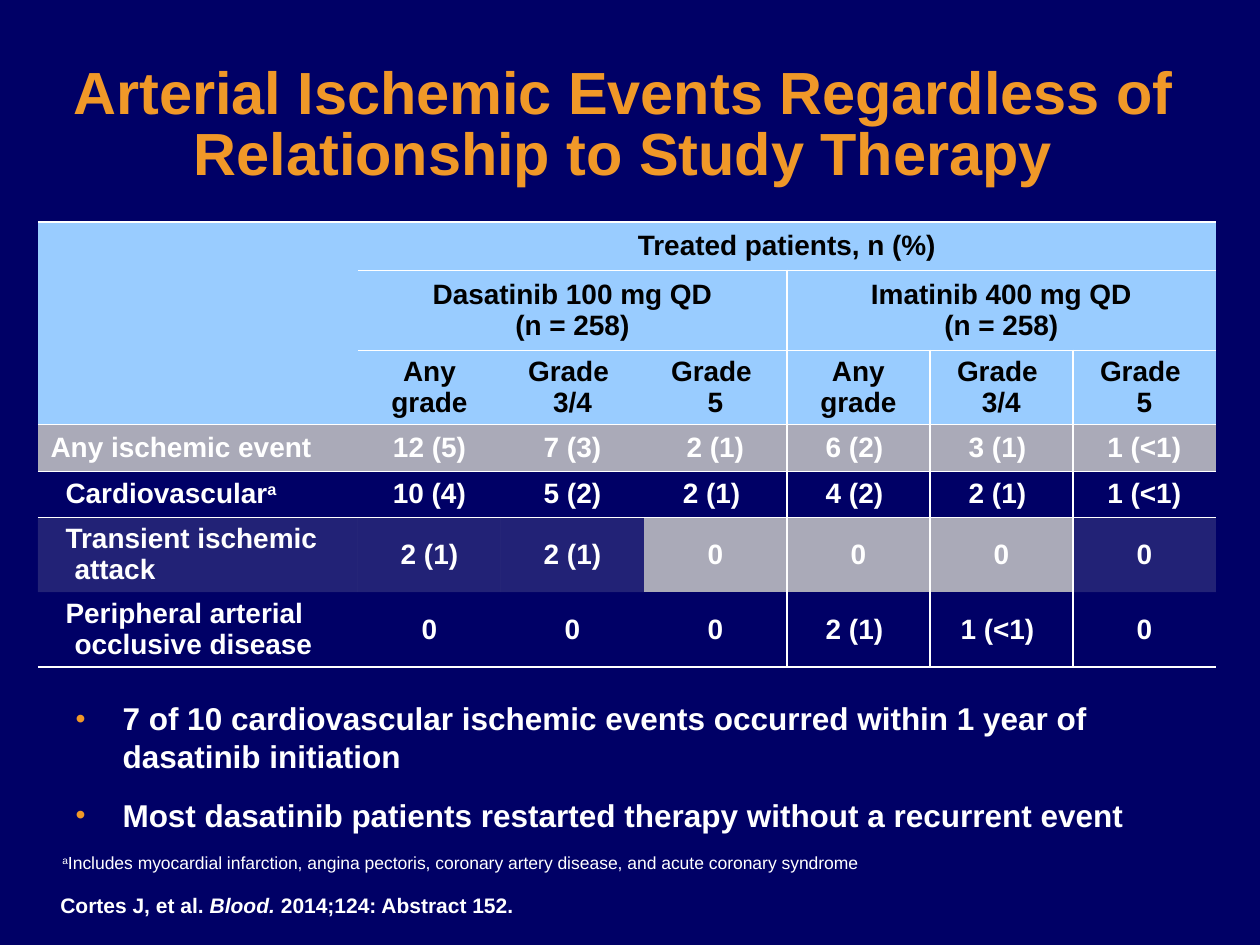
"""Build the slide on arterial ischemic events by study treatment."""
from dataclasses import dataclass

from lxml.etree import SubElement
from pptx import Presentation
from pptx.dml.color import RGBColor as RGB
from pptx.enum.text import MSO_ANCHOR as ANCHOR, MSO_AUTO_SIZE as FIT, PP_ALIGN as ALIGN
from pptx.oxml.ns import qn
from pptx.util import Pt

PX = 914400 // 126


@dataclass(frozen=True)
class Theme:
    font: str = "Arial"
    bg: str = "000066"
    accent: str = "F09828"
    light: str = "FFFFFF"
    dark: str = "000000"
    head: str = "99CCFF"
    band: str = "AAAAB8"
    title: int = 34
    body: int = 18
    cell: int = 16
    note: int = 10
    cite: int = 12


T = Theme()
TITLE = "Arterial Ischemic Events Regardless of Relationship to Study Therapy"
BULLETS = [
    "7 of 10 cardiovascular ischemic events occurred within 1 year of dasatinib initiation",
    "Most dasatinib patients restarted therapy without a recurrent event",
]
NOTE = [("a", "sup"), "Includes myocardial infarction, angina pectoris, coronary artery disease, "
        "and acute coronary syndrome"]
CITE = ["Cortes J, et al. ", ("Blood. ", "italic"), "2014;124: Abstract 152."]

SPANS = [
    (0, 1, 6, ["Treated patients, n (%)"]),
    (1, 1, 3, ["Dasatinib 100 mg QD", "(n = 258)"]),
    (1, 4, 3, ["Imatinib 400 mg QD", "(n = 258)"]),
]
GRADES = [["Any grade"], ["Grade ", "3/4"], ["Grade ", "5"]]
EVENTS = [
    (["Any ischemic event"], 0, 0,
     ["12 (5)", "7 (3)", "2 (1)", "6 (2) ", "3 (1) ", "1 (<1)"]),
    (["Cardiovascular", ("a", "sup")], 15, 0,
     [" 10 (4) ", "5 (2)", "2 (1) ", "4 (2) ", "2 (1) ", "1 (<1)"]),
    (["Transient ischemic attack"], 24, -9, ["2 (1)", "2 (1)", "0", "0", "0", "0"]),
    (["Peripheral arterial occlusive disease"], 24, -9,
     ["0", "0", "0", "2 (1) ", "1 (<1) ", "0"]),
]
COLS = [320] + [143] * 6
ROWS = [46, 80, 74, 47, 46, 75, 75]
HEAD_ROWS = 3
RULES_ACROSS = {0: 0, 1: 1, 2: 1, 3: 0, 4: 0, 7: 0}
RULES_DOWN = {4: 1, 5: 2}
NO_STYLE = "{2D5ABB26-0587-4C30-8999-92F81FD0307C}"


def write(p, runs, size, color=T.light, bold=True, align=ALIGN.LEFT, left=0, indent=0,
          line=None, before=0, after=0):
    """Fill a paragraph with runs, each a string or a (text, style) pair."""
    p.alignment = align
    p.space_before, p.space_after = Pt(before), Pt(after)
    if line:
        p.line_spacing = line
    pPr = p._p.get_or_add_pPr()
    pPr.set("marL", str(left * PX))
    pPr.set("indent", str(indent * PX))
    for run in [runs] if isinstance(runs, str) else runs:
        text, style = (run, None) if isinstance(run, str) else run
        r = p.add_run()
        r.text = text
        f = r.font
        f.name, f.size, f.bold = T.font, Pt(size), bold
        f.color.rgb = RGB.from_string(color)
        if style == "italic":
            f.italic = True
        elif style == "sup":
            r._r.get_or_add_rPr().set("baseline", "30000")


def write_lines(tf, lines, **fmt):
    """Write one paragraph per line."""
    for i, text in enumerate(lines):
        write(tf.add_paragraph() if i else tf.paragraphs[0], text, **fmt)


def place(sp, x, y, w, h):
    """Position a shape in px."""
    sp.left, sp.top, sp.width, sp.height = (v * PX for v in (x, y, w, h))


def add_bullet(p):
    """Give a paragraph an accent bullet."""
    pPr = p._p.get_or_add_pPr()
    SubElement(SubElement(pPr, qn("a:buClr")), qn("a:srgbClr"), val=T.accent)
    SubElement(pPr, qn("a:buSzPct"), val="90000")
    SubElement(pPr, qn("a:buFont"), typeface=T.font)
    SubElement(pPr, qn("a:buChar"), char="•")


def rule_cell(cell, row, col):
    """Draw the rules that touch a cell."""
    def across(edge):
        return edge in RULES_ACROSS and col >= RULES_ACROSS[edge]

    def down(edge):
        return edge in RULES_DOWN and row >= RULES_DOWN[edge]

    sides = {"lnL": down(col), "lnR": down(col + 1), "lnT": across(row), "lnB": across(row + 1)}
    tcPr = cell._tc.get_or_add_tcPr()
    for tag, shown in sides.items():
        if shown:
            ln = SubElement(tcPr, qn(f"a:{tag}"), w=str(Pt(1)))
            SubElement(SubElement(ln, qn("a:solidFill")), qn("a:srgbClr"), val=T.light)


def fill_cell(cell, row):
    """Colour header rows, and every other event row with a faint band."""
    if row >= HEAD_ROWS and (row - HEAD_ROWS) % 2:
        cell.fill.background()
        return
    cell.fill.solid()
    cell.fill.fore_color.rgb = RGB.from_string(T.head if row < HEAD_ROWS else T.band)
    if row >= HEAD_ROWS:
        clr = cell._tc.tcPr.find(f".//{qn('a:srgbClr')}")
        SubElement(clr, qn("a:alpha"), val="20000")


def add_events_table(s):
    """Add the table of events by treatment and grade."""
    frame = s.shapes.add_table(len(ROWS), len(COLS), 38 * PX, 222 * PX,
                               sum(COLS) * PX, sum(ROWS) * PX)
    table = frame.table
    table.first_row = table.horz_banding = False
    table._tbl.tblPr.find(qn("a:tableStyleId")).text = NO_STYLE
    for col, w in zip(table.columns, COLS):
        col.width = w * PX
    for i, h in enumerate(ROWS):
        table.rows[i].height = h * PX
        for j in range(len(COLS)):
            cell = table.cell(i, j)
            cell.margin_top = cell.margin_bottom = 5 * PX
            cell.vertical_anchor = ANCHOR.MIDDLE
            rule_cell(cell, i, j)
            fill_cell(cell, i)

    head = dict(size=T.cell, color=T.dark, align=ALIGN.CENTER)
    for i, j, n, lines in SPANS:
        table.cell(i, j).merge(table.cell(i, j + n - 1))
        write_lines(table.cell(i, j).text_frame, lines, **head)
    for j, lines in enumerate(GRADES * 2, 1):
        write_lines(table.cell(2, j).text_frame, lines, **head)
    for i, (label, left, indent, values) in enumerate(EVENTS, HEAD_ROWS):
        write_lines(table.cell(i, 0).text_frame, [label], size=T.cell, left=left, indent=indent)
        for j, value in enumerate(values, 1):
            write_lines(table.cell(i, j).text_frame, [value], size=T.cell, align=ALIGN.CENTER)


def add_text(s, box, runs, wrap=True, anchor=ANCHOR.TOP, **fmt):
    """Add a text box with one paragraph."""
    tf = s.shapes.add_textbox(*(v * PX for v in box)).text_frame
    tf.word_wrap, tf.auto_size, tf.vertical_anchor = wrap, FIT.SHAPE_TO_FIT_TEXT, anchor
    write(tf.paragraphs[0], runs, **fmt)


def main():
    prs = Presentation()
    prs.slide_width, prs.slide_height = 1260 * PX, 945 * PX
    s = prs.slides.add_slide(prs.slide_layouts[1])
    s.background.fill.solid()
    s.background.fill.fore_color.rgb = RGB.from_string(T.bg)
    title, body = s.placeholders
    add_events_table(s)

    place(title, 34, 55, 1191, 144)
    tf = title.text_frame
    tf.auto_size, tf.vertical_anchor, tf.margin_left = FIT.NONE, ANCHOR.MIDDLE, 0
    write(tf.paragraphs[0], TITLE, size=T.title, color=T.accent, align=ALIGN.CENTER, line=0.85)

    place(body, 63, 693, 1153, 54)
    tf = body.text_frame
    tf.auto_size, tf.vertical_anchor = FIT.NONE, ANCHOR.TOP
    write_lines(tf, BULLETS, size=T.body, left=47, indent=-47, before=6, after=6)
    for p in tf.paragraphs:
        add_bullet(p)

    add_text(s, (50, 849, 1210, 31), NOTE, anchor=ANCHOR.BOTTOM, size=T.note, bold=False,
             line=0.9, before=4)
    add_text(s, (48, 886, 483, 38), CITE, wrap=False, size=T.cite)
    prs.save("out.pptx")


if __name__ == "__main__":
    main()
